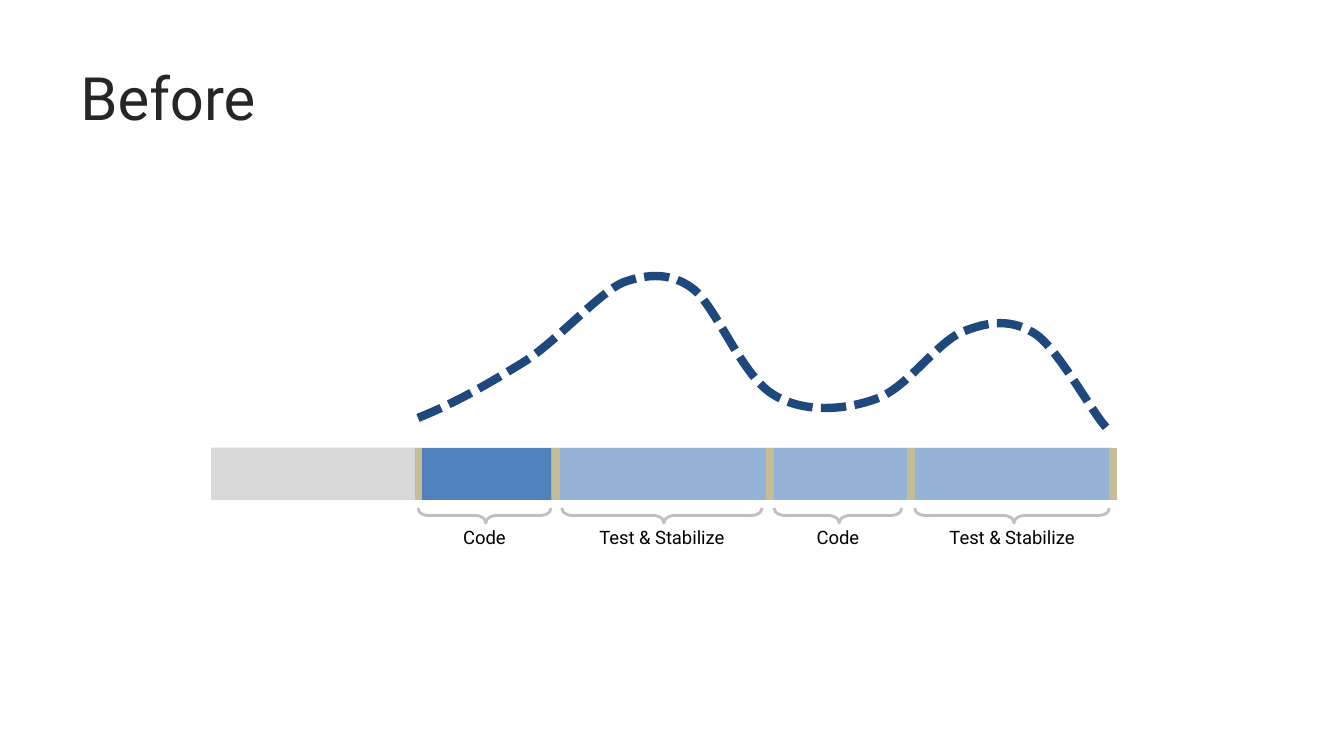
import pptx
import pptx.util
import pptx.dml.color
import pptx.enum.dml
import pptx.enum.shapes
import pptx.enum.text
import pptx.oxml.ns
import lxml.etree

SHAPE = pptx.enum.shapes.MSO_SHAPE
ALIGN = pptx.enum.text.PP_ALIGN
qn = pptx.oxml.ns.qn

prs = pptx.Presentation()
prs.slide_width = pptx.util.Inches(10)
prs.slide_height = pptx.util.Inches(5.625)
s = prs.slides.add_slide(prs.slide_layouts[6])
unit = prs.slide_width / 100
bar_top, bar_h = 33.3, 3.9


def paint(target, color):
    target.solid()
    target.fore_color.rgb = pptx.dml.color.RGBColor.from_string(color)


def add(shapes, kind, box, text=None, size=10, color="000000", align=ALIGN.CENTER):
    x, y, w, h = [round(n * unit) for n in box]
    if text is None:
        sp = shapes.add_shape(kind, x, y, w, h)
        sp.shadow.inherit = False
        sp.line.fill.background()
        return sp
    sp = shapes.add_textbox(x, y, w, h)
    tf = sp.text_frame
    tf.word_wrap = True
    tf.vertical_anchor = pptx.enum.text.MSO_ANCHOR.MIDDLE
    tf.margin_top = tf.margin_bottom = 0
    tf.text = text
    p = tf.paragraphs[0]
    p.alignment = align
    r = p.runs[0]
    r.font.name = "Roboto"
    r.font.size = pptx.util.Pt(size)
    paint(r.font.fill, color)
    return sp


sp = add(s.shapes, SHAPE.RECTANGLE, (15.7, bar_top, 67.1, bar_h))
paint(sp.fill, "D9D9D9")

phases = [
    ("Code", 36.05, 9.9),
    ("Test & Stabilize", 49.25, 14.9),
    ("Code", 62.35, 9.5),
    ("Test & Stabilize", 75.3, 14.5),
]
brace_mid, brace_h = 38.35, 1.1
for name, mid, length in phases:
    group = s.shapes.add_group_shape()
    box = (mid - brace_h / 2, brace_mid - length / 2, brace_h, length)
    sp = add(group.shapes, SHAPE.LEFT_BRACE, box)
    sp.rotation = 270
    sp.adjustments[0] = 0.72
    sp.adjustments[1] = 0.51
    sp.fill.background()
    paint(sp.line.fill, "BFBFBF")
    sp.line.width = pptx.util.Pt(1.5)
    width = length * 1.1
    add(group.shapes, None, (mid - width / 2, 39.1, width, 1.7), name, 9.9)

for left, width in [(57.5, 25.4), (31.5, 26)]:
    sp = add(s.shapes, SHAPE.FLOWCHART_PROCESS, (left, bar_top, width, bar_h))
    paint(sp.fill, "95B3D7")

group = s.shapes.add_group_shape()
for left in [30.9, 41.1, 57, 67.5, 82.5]:
    sp = add(group.shapes, SHAPE.FLOWCHART_PROCESS, (left, bar_top, 0.6, bar_h))
    paint(sp.fill, "C4BD97")

sp = add(s.shapes, SHAPE.FLOWCHART_PROCESS, (31.4, bar_top, 9.6, bar_h))
paint(sp.fill, "4F81BD")

curve = [
    (31.1, 31.1),
    (34.1, 29.9), (36.6, 28.4), (39.2, 26.8),
    (41.7, 25.1), (44.7, 21.7), (46.4, 21),
    (48.1, 20.4), (50, 20.2), (51.7, 21.6),
    (53.4, 23.1), (55.3, 28.1), (57.6, 29.4),
    (59.9, 30.8), (63.1, 30.5), (65.4, 29.6),
    (67.6, 28.7), (69.7, 25.5), (71.6, 24.7),
    (73.6, 23.9), (75.3, 23.7), (77.1, 24.9),
    (78.8, 26.1), (81.2, 30.6), (82.3, 31.8),
]
points = [(round(x * unit), round(y * unit)) for x, y in curve]
builder = s.shapes.build_freeform(*points[0])
builder.add_line_segments(points[1:], close=False)
sp = builder.convert_to_shape()
for i, segment in enumerate(list(sp._element.iter(qn("a:lnTo")))):
    if i % 3 == 0:
        bezier = lxml.etree.Element(qn("a:cubicBezTo"))
        segment.addprevious(bezier)
    bezier.append(segment[0])
    segment.getparent().remove(segment)
sp.shadow.inherit = False
sp.fill.background()
paint(sp.line.fill, "1F497D")
sp.line.width = pptx.util.Pt(4.5)
sp.line.dash_style = pptx.enum.dml.MSO_LINE.SQUARE_DOT

add(s.shapes, None, (5, 2.5, 90, 9.4), "Before", 32, "262626", ALIGN.LEFT)

prs.save("out.pptx")
